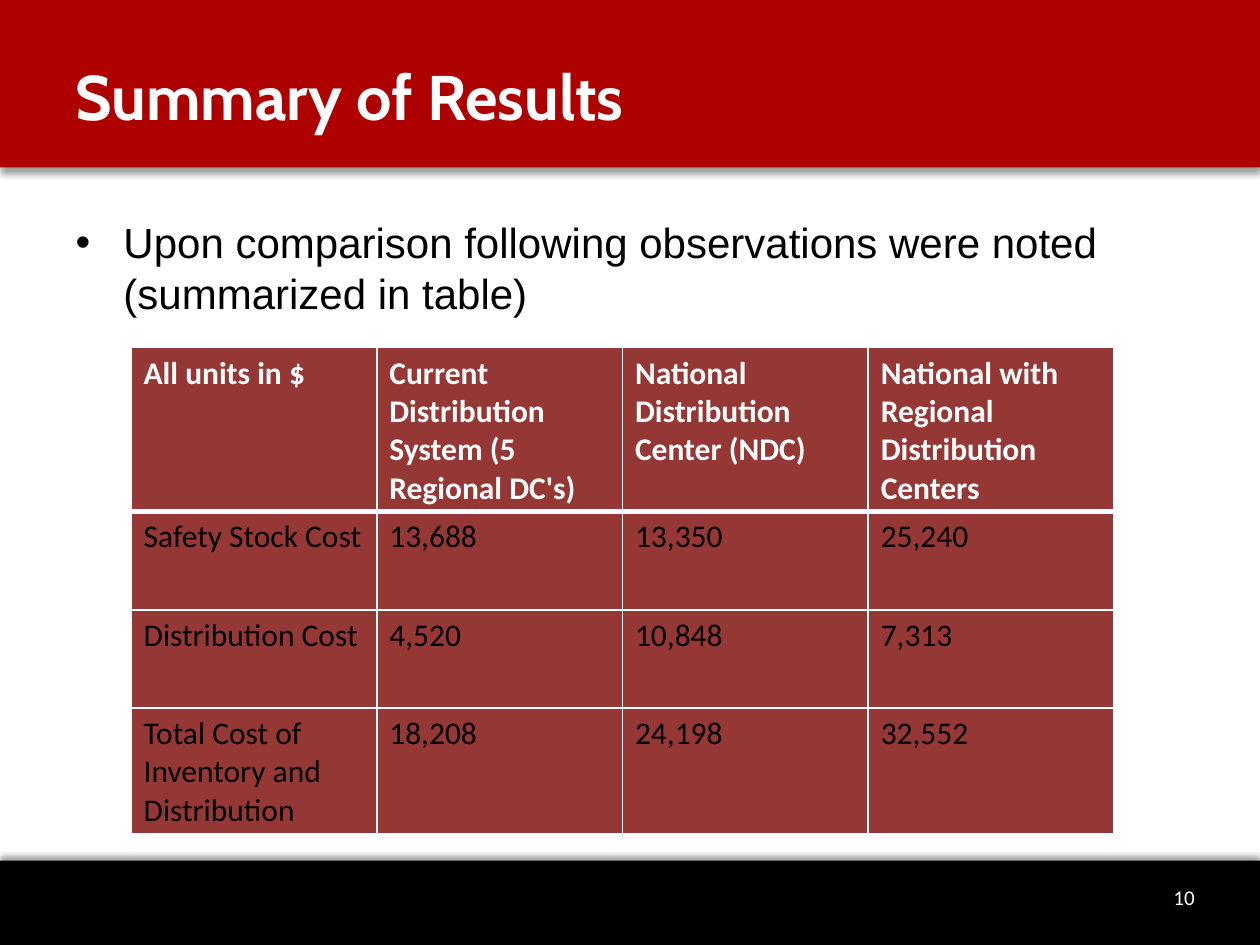
from lxml.etree import SubElement
from pptx import Presentation
from pptx.dml.color import RGBColor
from pptx.enum.shapes import MSO_SHAPE
from pptx.enum.text import MSO_ANCHOR, MSO_AUTO_SIZE, PP_ALIGN
from pptx.oxml import parse_xml
from pptx.oxml.ns import nsdecls, qn
from pptx.util import Inches, Pt

RED = RGBColor(0xAF, 0x00, 0x00)
BRICK = RGBColor(0x95, 0x37, 0x35)
BLACK = RGBColor(0x00, 0x00, 0x00)
WHITE = RGBColor(0xFF, 0xFF, 0xFF)

WIDTH, HEIGHT = 10, 7.5
COLUMN, ROW = 1.95, 0.78
DOWN, UP = 90, 270

RESULTS = [
    ["All units in $", "Current Distribution System (5 Regional DC's)",
     "National Distribution Center (NDC)",
     "National with Regional Distribution Centers"],
    ["Safety Stock Cost", "13,688", "13,350", "25,240"],
    ["Distribution Cost", "4,520", "10,848", "7,313"],
    ["Total Cost of Inventory and Distribution", "18,208", "24,198", "32,552"],
]


def place(shape, left, top, width, height):
    shape.left, shape.top = Inches(left), Inches(top)
    shape.width, shape.height = Inches(width), Inches(height)


def style(para, name, size, color, bold=False):
    for span in para.runs:
        span.font.name = name
        span.font.size = Pt(size)
        span.font.bold = bold
        span.font.color.rgb = color


def add_band(page, top, height, color, direction):
    """Full-width band behind the text, with a soft shadow."""
    band = page.shapes.add_shape(
        MSO_SHAPE.RECTANGLE, 0, Inches(top), Inches(WIDTH), Inches(height))
    band.fill.solid()
    band.fill.fore_color.rgb = color
    band.line.fill.background()
    band.element.spPr.append(parse_xml(
        f'<a:effectLst {nsdecls("a")}><a:outerShdw blurRad="{Pt(4)}" '
        f'dist="{Pt(3)}" dir="{direction * 60000}" rotWithShape="0">'
        '<a:srgbClr val="000000"><a:alpha val="40000"/></a:srgbClr>'
        '</a:outerShdw></a:effectLst>'))
    band.element.getparent().insert(2, band.element)


def fill_title(page, text):
    title = page.shapes.title
    place(title, 0.5, 0.17, 8.25, 1.17)
    frame = title.text_frame
    frame.text = text
    frame.auto_size = MSO_AUTO_SIZE.NONE
    frame.vertical_anchor = MSO_ANCHOR.MIDDLE
    para = frame.paragraphs[0]
    para.alignment = PP_ALIGN.LEFT
    style(para, "Cabin", 36, WHITE, bold=True)


def fill_body(page, text):
    body = page.placeholders[1]
    place(body, 0.5, 1.67, 9.08, 4.92)
    frame = body.text_frame
    frame.text = text
    frame.auto_size = MSO_AUTO_SIZE.NONE
    para = frame.paragraphs[0]
    properties = para._p.get_or_add_pPr()
    properties.set("marL", str(Inches(0.38)))
    properties.set("indent", str(Inches(-0.38)))
    SubElement(properties, qn("a:buChar"), char="•")
    style(para, "Arial", 24, BLACK)


def add_page_number(page, number):
    box = page.shapes.add_textbox(
        Inches(8.08), Inches(6.92), Inches(1.5), Inches(0.4))
    frame = box.text_frame
    frame.word_wrap = True
    frame.vertical_anchor = MSO_ANCHOR.MIDDLE
    frame.text = number
    para = frame.paragraphs[0]
    para.alignment = PP_ALIGN.RIGHT
    style(para, "Calibri", 12, WHITE)


def set_borders(cell, **widths):
    properties = cell._tc.get_or_add_tcPr()
    for side in "LRTB":
        properties.append(parse_xml(
            f'<a:ln{side} {nsdecls("a")} w="{Pt(widths.get(side, 1))}">'
            f'<a:solidFill><a:srgbClr val="{WHITE}"/></a:solidFill>'
            f'</a:ln{side}>'))


def add_results_table(page, rows):
    row_count, column_count = len(rows), len(rows[0])
    table = page.shapes.add_table(
        row_count, column_count, Inches(1.04), Inches(2.76),
        Inches(COLUMN * column_count), Inches(ROW * row_count)).table
    # A thick rule separates the header from the rows below it
    rules = {0: {"B": 3}, 1: {"T": 3}}
    for row, values in enumerate(rows):
        is_header = row == 0
        for column, value in enumerate(values):
            cell = table.cell(row, column)
            set_borders(cell, **rules.get(row, {}))
            cell.fill.solid()
            cell.fill.fore_color.rgb = BRICK
            cell.text_frame.text = value
            style(cell.text_frame.paragraphs[0], "Calibri", 18,
                  WHITE if is_header else BLACK, bold=is_header)


def main():
    deck = Presentation()
    deck.slide_width, deck.slide_height = Inches(WIDTH), Inches(HEIGHT)
    page = deck.slides.add_slide(deck.slide_layouts[1])

    # Header and footer bands
    add_band(page, 0, 1.33, RED, DOWN)
    add_band(page, 6.83, 0.67, BLACK, UP)

    # Text
    fill_title(page, "Summary of Results")
    fill_body(page, "Upon comparison following observations were noted "
                    "(summarized in table)")
    add_page_number(page, "10")

    # Cost comparison
    add_results_table(page, RESULTS)
    deck.save("out.pptx")


if __name__ == "__main__":
    main()
